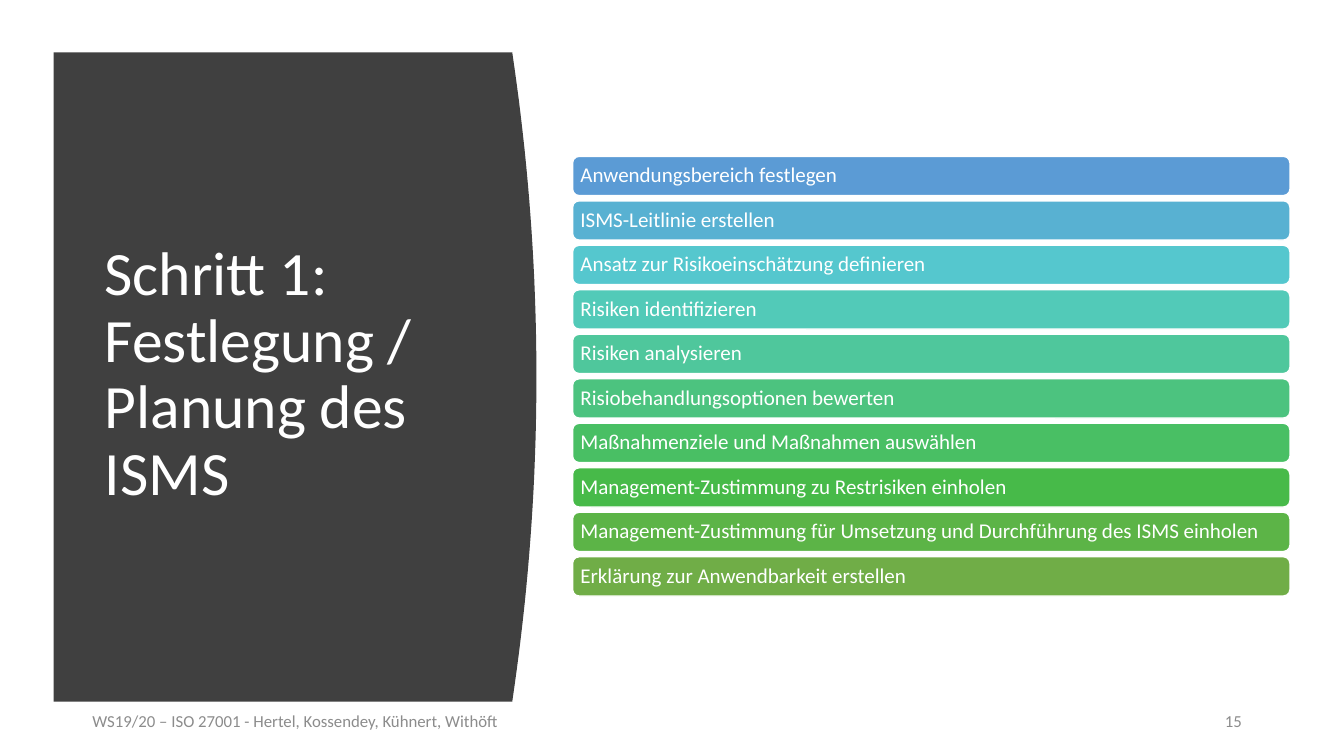
from pptx import Presentation
from pptx.dml.color import RGBColor
from pptx.enum import shapes, text
from pptx.util import Cm, Pt

FONT = "Calibri"
COLORS = {"panel": "404040", "light": "FFFFFF", "footer": "8C8C8C"}
STEPS = {
    "Anwendungsbereich festlegen": "5B9BD5",
    "ISMS-Leitlinie erstellen": "58B1D2",
    "Ansatz zur Risikoeinschätzung definieren": "55C7CE",
    "Risiken identifizieren": "52CAB8",
    "Risiken analysieren": "4FC79C",
    "Risiobehandlungsoptionen bewerten": "4CC37F",
    "Maßnahmenziele und Maßnahmen auswählen": "49BF64",
    "Management-Zustimmung zu Restrisiken einholen": "47BA49",
    "Management-Zustimmung für Umsetzung und Durchführung des ISMS einholen": "5CB447",
    "Erklärung zur Anwendbarkeit erstellen": "70AD47",
}


def paint(shape, color):
    shape.shadow.inherit = False
    shape.fill.solid()
    shape.fill.fore_color.rgb = RGBColor.from_string(color)


def write(shape, wording, size, color, align=text.PP_ALIGN.LEFT, spacing=None):
    """Fill a shape with one vertically centred paragraph."""
    frame = shape.text_frame
    frame.word_wrap = True
    frame.vertical_anchor = text.MSO_ANCHOR.MIDDLE
    paragraph = frame.paragraphs[0]
    paragraph.alignment = align
    paragraph.line_spacing = spacing
    run = paragraph.add_run()
    run.text = wording
    run.font.name = FONT
    run.font.size = Pt(size)
    run.font.color.rgb = RGBColor.from_string(color)


def add_title_panel(slide, left, top, width, height):
    """Dark panel whose right edge bulges as a parabola, with the title on it."""
    bulge, parts = 0.61, 40
    edge = []
    for i in range(parts + 1):
        offset = 2 * i / parts - 1
        x = left + width - bulge * offset ** 2
        edge.append((Cm(x), Cm(top + height * i / parts)))
    builder = slide.shapes.build_freeform(Cm(left), Cm(top))
    builder.add_line_segments(edge + [(Cm(left), Cm(top + height))], close=True)
    panel = builder.convert_to_shape()
    paint(panel, COLORS["panel"])
    panel.line.fill.background()

    title = slide.shapes.add_textbox(
        Cm(left + 1.04), Cm(top + 1.5), Cm(9.5), Cm(height - 3.06))
    write(title, "Schritt 1: Festlegung / Planung des ISMS", 44,
          COLORS["light"], spacing=0.9)


def add_step_list(slide, left, top, width, height):
    """Stack of equal bars, one for each step."""
    bar_height = 0.99
    pitch = (height - bar_height) / (len(STEPS) - 1)
    for i, (step, color) in enumerate(STEPS.items()):
        bar = slide.shapes.add_shape(
            shapes.MSO_SHAPE.ROUNDED_RECTANGLE,
            Cm(left), Cm(top + i * pitch), Cm(width), Cm(bar_height))
        paint(bar, color)
        bar.line.color.rgb = RGBColor.from_string(COLORS["light"])
        bar.line.width = Pt(1)
        frame = bar.text_frame
        frame.margin_left = frame.margin_right = Cm(0.15)
        frame.margin_top = frame.margin_bottom = Cm(0.15)
        write(bar, step, 15, COLORS["light"], spacing=0.9)


def add_footer(slide, left, top, width, height):
    number_width = 1.75
    course = slide.shapes.add_textbox(Cm(left), Cm(top), Cm(11.43), Cm(height))
    write(course, "WS19/20 – ISO 27001 - Hertel, Kossendey, Kühnert, Withöft",
          12, COLORS["footer"])
    number = slide.shapes.add_textbox(
        Cm(left + width - number_width), Cm(top), Cm(number_width), Cm(height))
    write(number, "15", 12, COLORS["footer"], text.PP_ALIGN.RIGHT)


def main():
    deck = Presentation()
    deck.slide_width, deck.slide_height = Cm(33.87), Cm(19.05)
    slide = deck.slides.add_slide(deck.slide_layouts[6])
    add_title_panel(slide, 1.35, 1.32, 12.17, 16.36)
    add_footer(slide, 2.08, 17.65, 29.47, 1.02)
    add_step_list(slide, 14.43, 3.94, 18.08, 11.08)
    deck.save("out.pptx")


if __name__ == "__main__":
    main()
